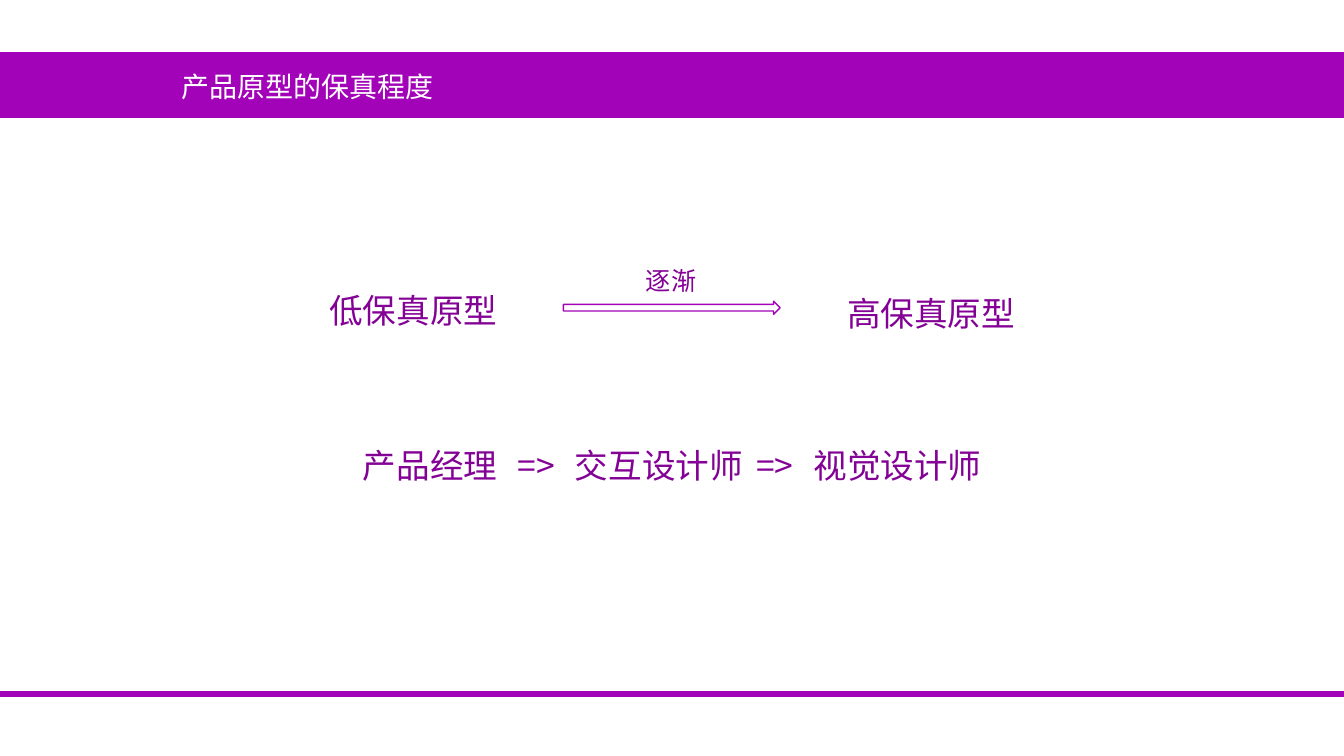
from dataclasses import dataclass

from lxml.etree import SubElement
from pptx import Presentation
from pptx.dml.color import RGBColor
from pptx.enum.shapes import MSO_SHAPE
from pptx.enum.text import MSO_ANCHOR, MSO_AUTO_SIZE, PP_ALIGN
from pptx.oxml.ns import qn
from pptx.util import Cm, Pt


@dataclass(frozen=True)
class Theme:
    font: str = "Noto Sans CJK SC"
    band: str = "A202B8"
    ink: str = "830195"
    white: str = "FFFFFF"
    title_size: int = 20
    label_size: int = 24
    note_size: int = 18


@dataclass(frozen=True)
class Area:
    left: float
    top: float
    width: float
    height: float

    def lengths(self) -> tuple:
        return Cm(self.left), Cm(self.top), Cm(self.width), Cm(self.height)


@dataclass(frozen=True)
class Span:
    text: str
    spacing: float = 0  # extra points after each character


@dataclass(frozen=True)
class Block:
    kind: MSO_SHAPE
    area: Area
    fill: str


@dataclass(frozen=True)
class Label:
    spans: tuple
    area: Area


THEME = Theme()
PAGE_WIDTH, PAGE_HEIGHT = 33.87, 19.05
WIDE, NARROW = Span(" ", 9), Span(" ", 4)

BLOCKS = (
    Block(MSO_SHAPE.RECTANGLE, Area(0, 1.32, PAGE_WIDTH, 1.63), THEME.band),
    Block(MSO_SHAPE.RECTANGLE, Area(0, 17.42, PAGE_WIDTH, 0.13), THEME.band),
    Block(MSO_SHAPE.RIGHT_ARROW, Area(14.2, 7.59, 5.46, 0.33), THEME.white),
)

LABELS = (
    Label((Span("低保真原型"),), Area(7.8, 6.68, 5.23, 1.8)),
    Label((Span("高保真原型"),), Area(20.85, 6.76, 5.23, 1.8)),
    Label((Span("产品经理"), WIDE, Span("=>"), WIDE, Span("交互设计师"), NARROW,
           Span("=>"), WIDE, Span("视觉设计师")), Area(4.09, 10.59, 25.7, 1.8)),
)


def add_block(page, block: Block) -> None:
    shape = page.shapes.add_shape(block.kind, *block.area.lengths())
    shape.shadow.inherit = False
    shape.fill.solid()
    shape.fill.fore_color.rgb = RGBColor.from_string(block.fill)
    shape.line.color.rgb = RGBColor.from_string(THEME.band)
    shape.line.width = Pt(1)


def write_text(box, spans: tuple, area: Area, *, size: int, color: str = THEME.ink,
               align: PP_ALIGN = PP_ALIGN.LEFT, line_spacing: float = 1.0,
               wrap: bool = False) -> None:
    box.left, box.top, box.width, box.height = area.lengths()
    frame = box.text_frame
    frame.word_wrap = wrap
    frame.auto_size = MSO_AUTO_SIZE.SHAPE_TO_FIT_TEXT
    frame.vertical_anchor = MSO_ANCHOR.TOP
    para = frame.paragraphs[0]
    para.alignment = align
    para.line_spacing = line_spacing
    for span in spans:
        run = para.add_run()
        run.text = span.text
        run.font.size = Pt(size)
        run.font.name = THEME.font
        run.font.color.rgb = RGBColor.from_string(color)
        # East Asian typeface and character spacing
        properties = run._r.get_or_add_rPr()
        SubElement(properties, qn("a:ea"), typeface=THEME.font)
        if span.spacing:
            properties.set("spc", str(int(span.spacing * 100)))


def add_box(page, area: Area):
    return page.shapes.add_textbox(*area.lengths())


def main() -> None:
    deck = Presentation()
    deck.slide_width, deck.slide_height = Cm(PAGE_WIDTH), Cm(PAGE_HEIGHT)
    page = deck.slides.add_slide(deck.slide_layouts[5])

    # Bands and arrow
    for block in BLOCKS:
        add_block(page, block)

    # Title, brought in front of its band
    title = page.shapes.title
    page.shapes._spTree.append(title._element)
    write_text(title, (Span("产品原型的保真程度"),), Area(4.32, 1.63, 6.93, 1.12),
               size=THEME.title_size, color=THEME.white)

    # Prototype stages and roles
    for label in LABELS:
        write_text(add_box(page, label.area), label.spans, label.area,
                   size=THEME.label_size, align=PP_ALIGN.CENTER,
                   line_spacing=1.5, wrap=True)

    # Note above the arrow
    note_area = Area(16.03, 6.55, 1.8, 1.02)
    write_text(add_box(page, note_area), (Span("逐渐"),), note_area,
               size=THEME.note_size)

    deck.save("out.pptx")


if __name__ == "__main__":
    main()
